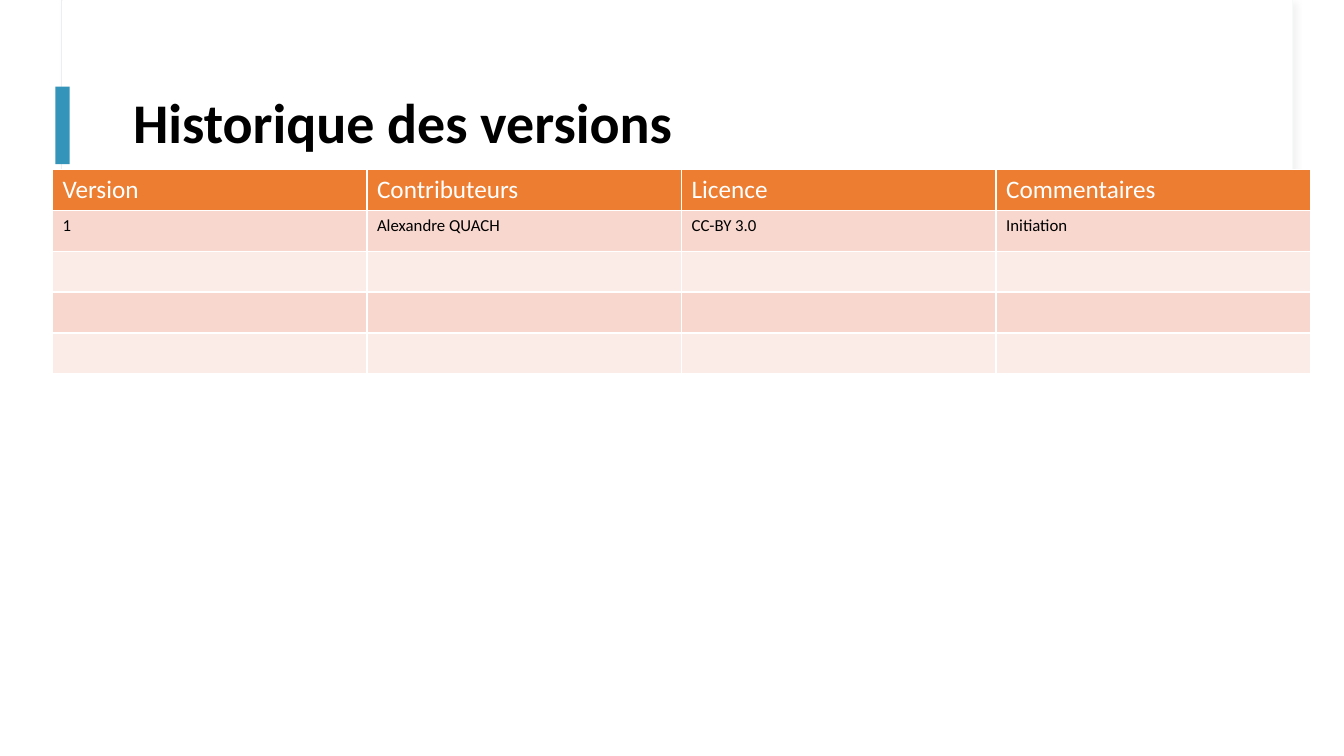
from lxml import etree
from pptx import Presentation
from pptx.dml.color import RGBColor
from pptx.enum.shapes import MSO_SHAPE
from pptx.enum.text import MSO_ANCHOR, PP_ALIGN
from pptx.oxml import parse_xml
from pptx.oxml.ns import nsdecls, qn
from pptx.util import Inches, Pt

RECT = MSO_SHAPE.RECTANGLE
MIDDLE = MSO_ANCHOR.MIDDLE
LEFT = PP_ALIGN.LEFT

COLORS = {
    "white": "FFFFFF",
    "black": "000000",
    "outline": "EBEEF2",
    "shadow": "D9D9D9",
    "accent": "3494BA",
    "header": "ED7D31",
    "band_dark": "F8D7CE",
    "band_light": "FCECE8",
}
FONT = "Calibri"
TITLE = {"name": FONT, "size": Pt(40), "bold": True}
HEADER = {"name": FONT, "size": Pt(18)}
BODY = {"name": FONT, "size": Pt(12)}

COLUMNS = ["Version", "Contributeurs", "Licence", "Commentaires"]
VERSIONS = [["1", "Alexandre QUACH", "CC-BY 3.0", "Initiation"]]
EMPTY_ROWS = 3


def rgb(key):
    return RGBColor.from_string(COLORS[key])


def format_font(font, values, color):
    for name, value in values.items():
        setattr(font, name, value)
    font.color.rgb = rgb(color)


def add_rect(s, box, fill, line=None):
    sp = s.shapes.add_shape(RECT, *map(Inches, box))
    sp.shadow.inherit = False
    sp.fill.solid()
    sp.fill.fore_color.rgb = rgb(fill)
    if line:
        sp.line.color.rgb = rgb(line)
        sp.line.width = Pt(0.75)
    else:
        sp.line.fill.background()
    return sp


def add_shadow(sp):
    effects = sp.element.spPr.find(qn("a:effectLst"))
    effects.append(parse_xml(
        f'<a:outerShdw {nsdecls("a")} blurRad="{Pt(4)}" dist="{Pt(3)}" '
        f'dir="{45 * 60000}" algn="tl" rotWithShape="0">'
        f'<a:srgbClr val="{COLORS["shadow"]}"><a:alpha val="30000"/></a:srgbClr>'
        '</a:outerShdw>'))


def set_title(s, text, box):
    sp = s.shapes.title
    sp.left, sp.top, sp.width, sp.height = map(Inches, box)
    # Bring the title in front of the header panel
    sp.element.getparent().append(sp.element)
    tf = sp.text_frame
    tf.word_wrap = True
    tf.vertical_anchor = MIDDLE
    p = tf.paragraphs[0]
    p.text = text
    p.alignment = LEFT
    p.line_spacing = 0.9
    format_font(p.runs[0].font, TITLE, "black")


def set_borders(cell, color, width):
    tc_pr = cell._tc.get_or_add_tcPr()
    for side in ("lnL", "lnR", "lnT", "lnB"):
        ln = etree.SubElement(tc_pr, qn(f"a:{side}"), w=str(Pt(width)))
        fill = etree.SubElement(ln, qn("a:solidFill"))
        etree.SubElement(fill, qn("a:srgbClr"), val=COLORS[color])


def fill_cell(cell, text, fill, font, color):
    set_borders(cell, "white", 1)
    cell.fill.solid()
    cell.fill.fore_color.rgb = rgb(fill)
    if text:
        p = cell.text_frame.paragraphs[0]
        p.text = text
        format_font(p.runs[0].font, font, color)


def add_version_table(s, box):
    blank = [[""] * len(COLUMNS) for _ in range(EMPTY_ROWS)]
    rows = [COLUMNS] + VERSIONS + blank
    table = s.shapes.add_table(len(rows), len(COLUMNS), *map(Inches, box)).table
    for r, texts in enumerate(rows):
        if r == 0:
            look = ("header", HEADER, "white")
        else:
            look = ("band_dark" if r % 2 else "band_light", BODY, "black")
        for c, text in enumerate(texts):
            fill_cell(table.cell(r, c), text, *look)


def main():
    prs = Presentation()
    prs.slide_width, prs.slide_height = Inches(13.33), Inches(7.5)
    s = prs.slides.add_slide(prs.slide_layouts[5])

    # Header panel and accent bar
    add_shadow(add_rect(s, (0.61, 0, 12.21, 2.21), "white", "outline"))
    add_rect(s, (0.62, 0, 12.2, 2.2), "white")
    add_rect(s, (0.55, 0.86, 0.14, 0.77), "accent")

    # Title
    set_title(s, "Historique des versions", (1.22, 0.6, 11.12, 1.29))

    # Version history
    add_version_table(s, (0.52, 1.68, 12.48, 2.03))

    prs.save("out.pptx")


if __name__ == "__main__":
    main()
